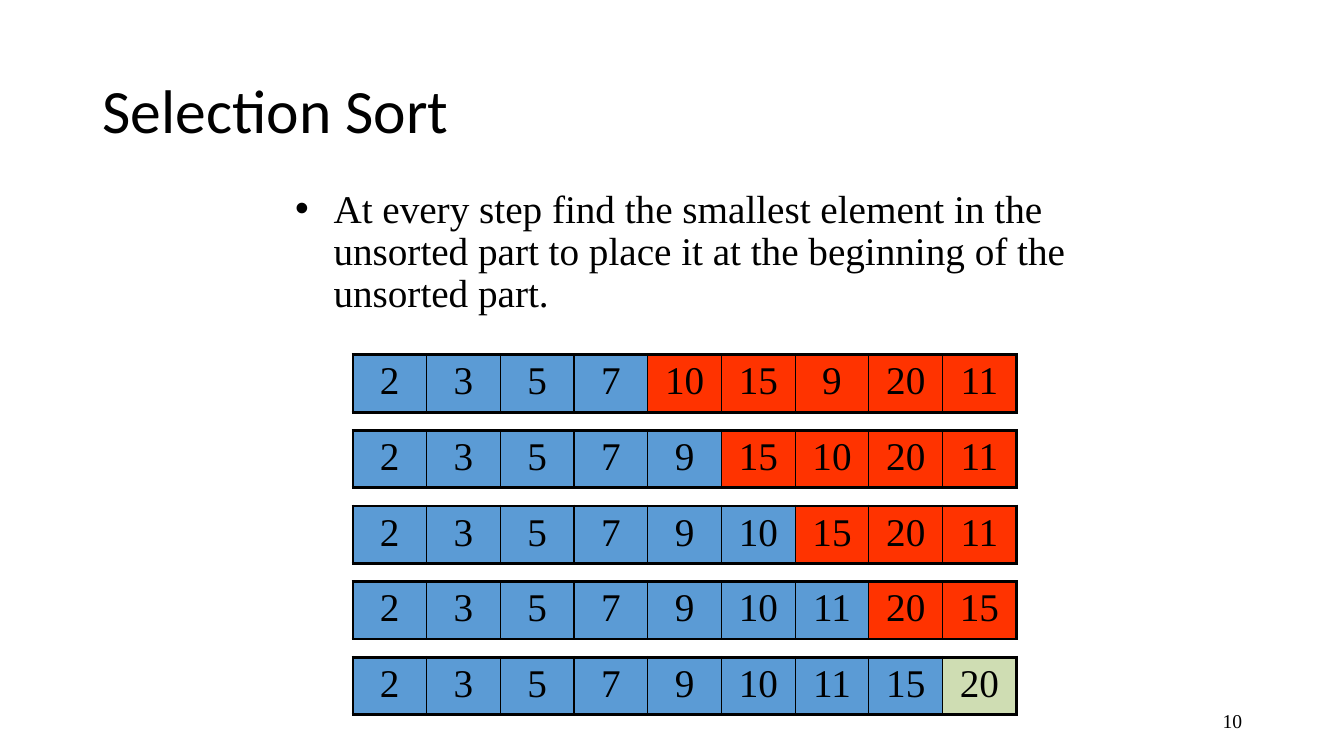
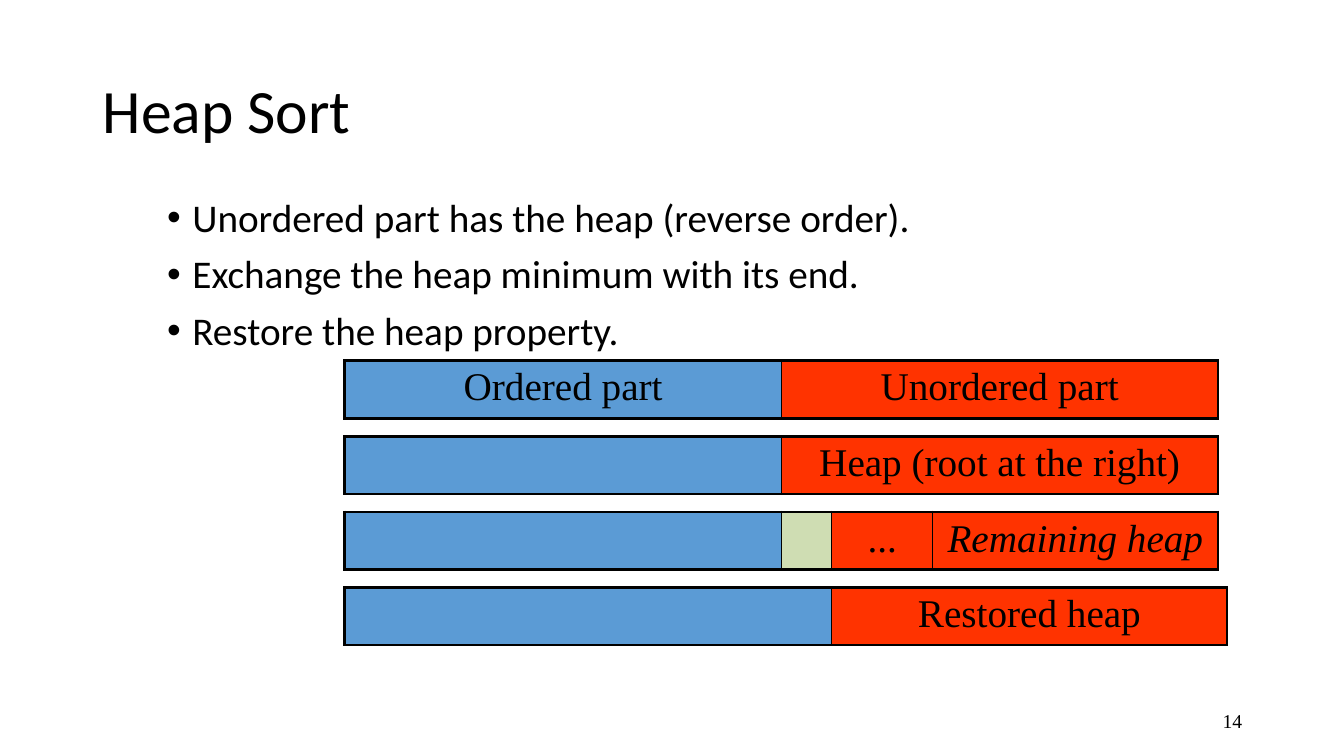
from lxml.etree import SubElement
from pptx import Presentation
from pptx.dml.color import RGBColor
from pptx.enum.text import MSO_ANCHOR, PP_ALIGN
from pptx.oxml.ns import qn
from pptx.util import Inches, Pt

THEME = {
    "ink": RGBColor.from_string("000000"),
    "sorted": RGBColor.from_string("5B9BD5"),
    "unsorted": RGBColor.from_string("FF3300"),
    "settled": RGBColor.from_string("CFDDB3"),
    "outer": Pt(2.25),
    "inner": Pt(1),
    "title": {
        "font": {"name": "Calibri", "size": Pt(44)},
        "paragraph": {"line_spacing": 0.9},
        "anchor": MSO_ANCHOR.MIDDLE,
    },
    "serif_body": {
        "font": {"name": "Times New Roman", "size": Pt(28)},
        "paragraph": {"line_spacing": 0.9},
        "anchor": MSO_ANCHOR.TOP,
        "indent": Inches(0.38),
    },
    "sans_body": {
        "font": {"name": "Calibri", "size": Pt(28)},
        "paragraph": {"line_spacing": 0.9, "space_before": Pt(10)},
        "anchor": MSO_ANCHOR.TOP,
        "indent": Inches(0.25),
    },
    "number": {
        "font": {"name": "Times New Roman", "size": Pt(14)},
        "paragraph": {"alignment": PP_ALIGN.RIGHT},
        "anchor": MSO_ANCHOR.MIDDLE,
    },
    "cell": {
        "font": {"name": "Times New Roman", "size": Pt(28)},
        "paragraph": {"alignment": PP_ALIGN.CENTER},
        "anchor": MSO_ANCHOR.TOP,
    },
}
STRIP_HEIGHT = Inches(0.57)
STRIP_PITCH = Inches(0.75)


def write(frame, lines, style, italic=False):
    frame.word_wrap = True
    frame.vertical_anchor = style["anchor"]
    for index, line in enumerate(lines):
        paragraph = frame.add_paragraph() if index else frame.paragraphs[0]
        run = paragraph.add_run()
        run.text = line
        run.font.color.rgb = THEME["ink"]
        run.font.italic = italic
        for target, values in ((run.font, style["font"]), (paragraph, style["paragraph"])):
            for name, value in values.items():
                setattr(target, name, value)
        if "indent" in style:
            properties = paragraph._p.get_or_add_pPr()
            properties.set("marL", str(style["indent"]))
            properties.set("indent", str(-style["indent"]))
            SubElement(properties, qn("a:buFont"), typeface="Arial")
            SubElement(properties, qn("a:buChar"), char="•")


def add_strip(slide, left, top, parts):
    total = sum(width for width, _, _ in parts)
    strip = slide.shapes.add_table(1, len(parts), left, top, total, STRIP_HEIGHT).table
    strip.first_row = strip.horz_banding = False
    for index, (width, state, label) in enumerate(parts):
        strip.columns[index].width = width
        cell = strip.cell(0, index)
        edges = {
            "a:lnL": "inner" if index else "outer",
            "a:lnR": "inner" if index < len(parts) - 1 else "outer",
            "a:lnT": "outer",
            "a:lnB": "outer",
        }
        properties = cell._tc.get_or_add_tcPr()
        for edge, weight in edges.items():
            line = SubElement(properties, qn(edge), w=str(THEME[weight]))
            paint = SubElement(line, qn("a:solidFill"))
            SubElement(paint, qn("a:srgbClr"), val=str(THEME["ink"]))
        cell.fill.solid()
        cell.fill.fore_color.rgb = THEME[state]
        if label:
            write(cell.text_frame, [label], THEME["cell"], label == "Remaining heap")


deck = Presentation()
deck.slide_width, deck.slide_height = Inches(13.33), Inches(7.5)

topics = [
    ("Selection Sort", "10", "serif_body", (2.83, 1.83, 8.33, 0.75), [
        "At every step find the smallest element in the unsorted part "
        "to place it at the beginning of the unsorted part.",
    ]),
    ("Heap Sort", "14", "sans_body", (1.56, 1.92, 11.11, 1.67), [
        "Unordered part has the heap (reverse order).",
        "Exchange the heap minimum with its end.",
        "Restore the heap property.",
    ]),
]
for title, number, body, body_area, points in topics:
    slide = deck.slides.add_slide(deck.slide_layouts[6])
    for area, lines, style in (
        ((0.92, 0.4, 11.5, 1.45), [title], "title"),
        (body_area, points, body),
        ((9.42, 6.95, 3, 0.4), [number], "number"),
    ):
        box = slide.shapes.add_textbox(*map(Inches, area))
        write(box.text_frame, lines, THEME[style])

selection, heap = deck.slides

values = [2, 3, 5, 7, 10, 15, 9, 20, 11]
first_unsorted = 4
value_width = Inches(6.58) // len(values)
for step, boundary in enumerate(range(first_unsorted, len(values))):
    rest = "settled" if boundary == len(values) - 1 else "unsorted"
    parts = [
        (value_width, "sorted" if place < boundary else rest, str(value))
        for place, value in enumerate(values)
    ]
    add_strip(selection, Inches(3.5), Inches(3.52) + step * STRIP_PITCH, parts)
    smallest = values.index(min(values[boundary:]))
    values[boundary], values[smallest] = values[smallest], values[boundary]

heap_stages = [
    [(4.33, "sorted", "Ordered part"), (4.33, "unsorted", "Unordered part")],
    [(4.33, "sorted", ""), (4.33, "unsorted", "Heap (root at the right)")],
    [(4.33, "sorted", ""), (0.5, "settled", ""), (1, "unsorted", "..."),
     (2.83, "unsorted", "Remaining heap")],
    [(4.83, "sorted", ""), (3.92, "unsorted", "Restored heap")],
]
for step, stage in enumerate(heap_stages):
    parts = [(Inches(width), state, label) for width, state, label in stage]
    add_strip(heap, Inches(3.42), Inches(3.58) + step * STRIP_PITCH, parts)

deck.save("out.pptx")
